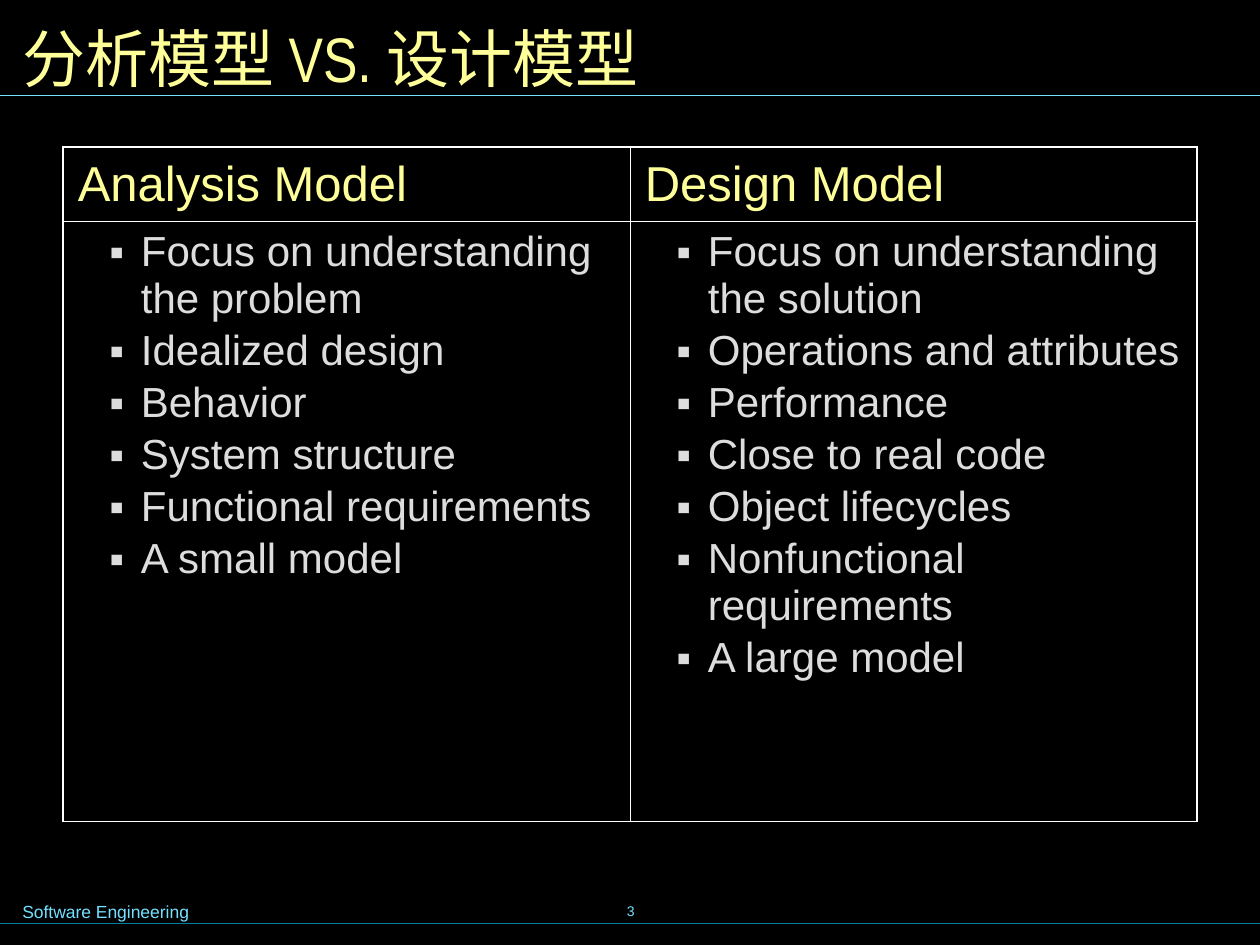
from lxml import etree
from pptx import Presentation
from pptx import util as u
from pptx.dml.color import RGBColor
from pptx.enum import shapes, text
from pptx.oxml import parse_xml
from pptx.oxml.ns import qn

BLACK, WHITE, GREY = "000000", "FFFFFF", "DDDDDD"
YELLOW, SKY, TEAL = "FFFF99", "73E1FF", "007E9F"
OUTER, INNER = 1.08, 0.45  # table border widths in points
MODELS = {
    "Analysis Model": [
        "Focus on understanding the problem", "Idealized design", "Behavior",
        "System structure", "Functional requirements", "A small model",
    ],
    "Design Model": [
        "Focus on understanding the solution", "Operations and attributes",
        "Performance", "Close to real code", "Object lifecycles",
        "Nonfunctional requirements", "A large model",
    ],
}


def color(hex_value):
    return RGBColor.from_string(hex_value)


def style(paragraph, size, hex_value, name="Arial"):
    font = paragraph.font
    font.size, font.name = u.Pt(size), name
    font.color.rgb = color(hex_value)


def add_title(slide, wording):
    title = slide.shapes.title
    title.left, title.top = u.Cm(0.2), u.Cm(0.2)
    title.width, title.height = u.Cm(25), u.Cm(1.9)
    frame = title.text_frame
    frame.text = wording
    frame.word_wrap = True
    frame.auto_size = text.MSO_AUTO_SIZE.NONE
    frame.vertical_anchor = text.MSO_ANCHOR.MIDDLE
    heading = frame.paragraphs[0]
    heading.alignment = text.PP_ALIGN.LEFT
    style(heading, 36, YELLOW, "Arial Narrow")


def add_rule(slide, y, width, hex_value):
    rule = slide.shapes.add_connector(
        shapes.MSO_CONNECTOR.STRAIGHT, 0, u.Cm(y), u.Cm(width), u.Cm(y))
    rule.line.color.rgb = color(hex_value)
    rule.line.width = u.Pt(0.75)
    etree.SubElement(rule._element.spPr, qn("a:effectLst"))


def add_label(slide, wording, box, size, align, anchor):
    frame = slide.shapes.add_textbox(*map(u.Cm, box)).text_frame
    frame.word_wrap = True
    frame.vertical_anchor = anchor
    label = frame.paragraphs[0]
    label.text, label.alignment = wording, align
    style(label, size, SKY)


def add_bullet(paragraph):
    p_pr = paragraph._p.get_or_add_pPr()
    p_pr.set("marL", str(u.Cm(1.27)))
    p_pr.set("indent", str(u.Cm(-0.635)))
    clr = etree.SubElement(p_pr, qn("a:buClr"))
    etree.SubElement(clr, qn("a:srgbClr"), val=GREY)
    etree.SubElement(p_pr, qn("a:buFont"), typeface="Arial")
    etree.SubElement(p_pr, qn("a:buChar"), char="▪")


def set_borders(cell, row, col):
    # Outside edges are heavy, inside ones are light
    heavy = {"L": col == 0, "R": col == 1, "T": row == 0, "B": row == 1}
    tc_pr = cell._tc.get_or_add_tcPr()
    for index, (side, is_outer) in enumerate(heavy.items()):
        width = u.Pt(OUTER if is_outer else INNER)
        tc_pr.insert(index, parse_xml(
            '<a:ln%s xmlns:a="http://schemas.openxmlformats.org/drawingml/2006/main"'
            ' w="%d"><a:solidFill><a:srgbClr val="%s"/></a:solidFill></a:ln%s>'
            % (side, width, WHITE, side)))


def fill_cell(cell, lines, size, hex_value, bulleted):
    cell.margin_left = cell.margin_right = u.Cm(0.3)
    cell.margin_top = cell.margin_bottom = u.Cm(0.13)
    cell.fill.solid()
    cell.fill.fore_color.rgb = color(BLACK)
    cell.text = "\n".join(lines)
    for number, paragraph in enumerate(cell.text_frame.paragraphs):
        if bulleted:
            add_bullet(paragraph)
        if number:
            paragraph.space_before = u.Pt(3)
        style(paragraph, size, hex_value)


def add_comparison(slide):
    table = slide.shapes.add_table(
        2, 2, u.Cm(1.27), u.Cm(2.97), u.Cm(22.86), u.Cm(13.59)).table
    table.rows[0].height, table.rows[1].height = u.Cm(1.5), u.Cm(12.09)
    for col, (model, traits) in enumerate(MODELS.items()):
        header, body = table.cell(0, col), table.cell(1, col)
        fill_cell(header, [model], 28, YELLOW, False)
        header.vertical_anchor = text.MSO_ANCHOR.MIDDLE
        fill_cell(body, traits, 24, GREY, True)
        for row, cell in enumerate((header, body)):
            set_borders(cell, row, col)


def main():
    deck = Presentation()
    deck.slide_width, deck.slide_height = u.Cm(25.4), u.Cm(19.05)
    slide = deck.slides.add_slide(deck.slide_layouts[5])
    slide.background.fill.solid()
    slide.background.fill.fore_color.rgb = color(BLACK)

    # Footer and rules
    add_label(slide, "3", (8.69, 17.73, 8.05, 1.27), 8,
              text.PP_ALIGN.CENTER, text.MSO_ANCHOR.MIDDLE)
    add_rule(slide, 18.62, 25.5, TEAL)
    add_rule(slide, 1.93, 25.4, SKY)
    add_label(slide, "Software Engineering", (0.2, 18.03, 7.49, 0.69), 10,
              text.PP_ALIGN.LEFT, text.MSO_ANCHOR.TOP)

    # Title and comparison table
    add_title(slide, "分析模型 VS. 设计模型")
    add_comparison(slide)
    deck.save("out.pptx")


if __name__ == "__main__":
    main()
